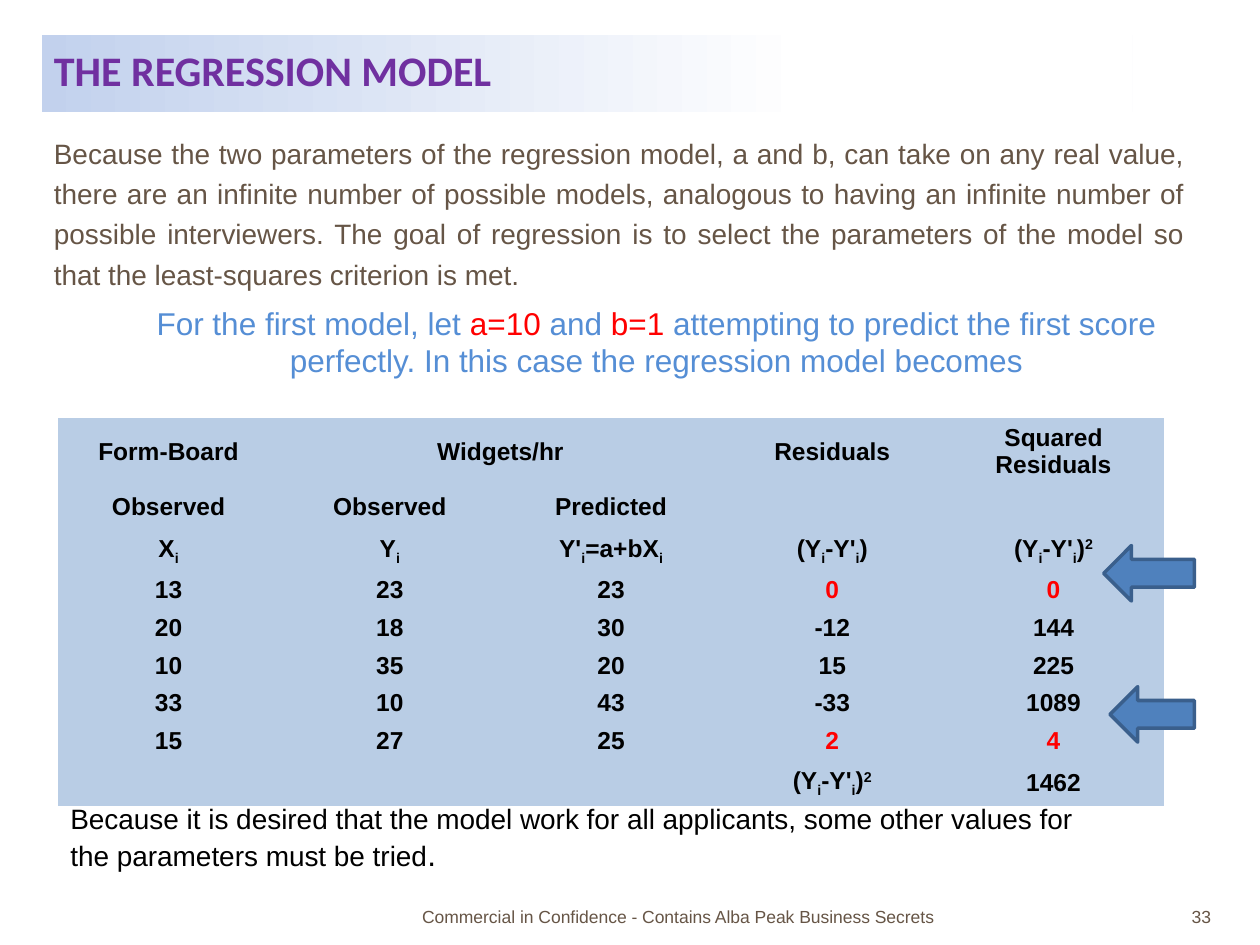
from pptx import Presentation
from pptx.dml.color import RGBColor
from pptx.enum.shapes import MSO_SHAPE
from pptx.enum.text import MSO_ANCHOR, PP_ALIGN
from pptx.oxml.ns import qn
from pptx.util import Inches, Pt

LEFT, CENTER, RIGHT, JUSTIFY = PP_ALIGN.LEFT, PP_ALIGN.CENTER, PP_ALIGN.RIGHT, PP_ALIGN.JUSTIFY
MIDDLE = MSO_ANCHOR.MIDDLE
RECTANGLE, LEFT_ARROW = MSO_SHAPE.RECTANGLE, MSO_SHAPE.LEFT_ARROW

PURPLE = RGBColor(0x70, 0x30, 0xA0)
BROWN = RGBColor(0x66, 0x55, 0x46)
SKY = RGBColor(0x55, 0x8E, 0xD5)
RED = RGBColor(0xFF, 0x00, 0x00)
BLACK = RGBColor(0x00, 0x00, 0x00)
WHITE = RGBColor(0xFF, 0xFF, 0xFF)
BAND = RGBColor(0xC2, 0xD1, 0xED)
CELL = RGBColor(0xB9, 0xCD, 0xE5)
ARROW = RGBColor(0x4F, 0x81, 0xBD)
ARROW_EDGE = RGBColor(0x3A, 0x5F, 0x8C)

PLAIN_TABLE = "{2D5ABB26-0587-4C30-8999-92F81FD0307C}"

SUB = ("i", {"baseline": -25000})
SQUARE = ("2", {"baseline": 30000})
RESIDUAL = ["(Y", SUB, "-Y'", SUB, ")"]
SQUARED = RESIDUAL + [SQUARE]


def red(text):
    return [(text, {"color": RED})]


ROWS = [
    ["Form-Board", "Widgets/hr", "", "Residuals", "Squared Residuals"],
    ["Observed", "Observed", "Predicted", "", ""],
    [["X", SUB], ["Y", SUB], ["Y'", SUB, "=a+bX", SUB], RESIDUAL, SQUARED],
    ["13", "23", "23", red("0"), red("0")],
    ["20", "18", "30", "-12", "144"],
    ["10", "35", "20", "15", "225"],
    ["33", "10", "43", "-33", "1089"],
    ["15", "27", "25", red("2"), red("4")],
    ["", "", "", SQUARED, "1462"],
]


class SlideBuilder:
    font_name = "Arial"

    def __init__(self, slide):
        self.slide = slide

    def fill_text(self, frame, content, size, color, align=LEFT, bold=False, font=None, spacing=None):
        paragraph = frame.paragraphs[0]
        paragraph.alignment = align
        if spacing:
            paragraph.line_spacing = spacing
        paragraph.font.name = font or self.font_name
        paragraph.font.size = Pt(size)
        paragraph.font.bold = bold
        paragraph.font.color.rgb = color
        for part in [content] if isinstance(content, str) else content:
            text, style = (part, {}) if isinstance(part, str) else part
            run = paragraph.add_run()
            run.text = text
            if "color" in style:
                run.font.color.rgb = style["color"]
            if "size" in style:
                run.font.size = Pt(style["size"])
            if "baseline" in style:
                run._r.get_or_add_rPr().set("baseline", str(style["baseline"]))

    def text(self, box, content, size, color, **style):
        shape = self.slide.shapes.add_textbox(*map(Inches, box))
        shape.text_frame.word_wrap = True
        self.fill_text(shape.text_frame, content, size, color, **style)

    def title(self, box, content):
        shape = self.slide.shapes.add_shape(RECTANGLE, *map(Inches, box))
        shape.shadow.inherit = False
        shape.line.fill.background()
        shape.fill.gradient()
        shape.fill.gradient_angle = 0
        for stop, color, position in zip(shape.fill.gradient_stops, (BAND, WHITE), (0, 0.7)):
            stop.color.rgb = color
            stop.position = position
        shape.text_frame.vertical_anchor = MIDDLE
        self.fill_text(shape.text_frame, content, 24, PURPLE, bold=True, font="Calibri", spacing=0.85)

    def table(self, box, rows, header_height, row_height):
        frame = self.slide.shapes.add_table(len(rows), len(rows[0]), *map(Inches, box))
        next(frame.element.iter(qn("a:tableStyleId"))).text = PLAIN_TABLE
        table = frame.table
        table.first_row = table.horz_banding = False
        for row_index, row in enumerate(rows):
            table.rows[row_index].height = Inches(row_height if row_index else header_height)
            for column_index, content in enumerate(row):
                cell = table.cell(row_index, column_index)
                cell.fill.solid()
                cell.fill.fore_color.rgb = CELL
                cell.vertical_anchor = MIDDLE
                cell.margin_left = cell.margin_right = Inches(0.03)
                cell.margin_top = cell.margin_bottom = Inches(0.03)
                self.fill_text(cell.text_frame, content, 14, BLACK, align=CENTER, bold=True)
        table.cell(0, 1).merge(table.cell(0, 2))

    def arrow(self, box):
        shape = self.slide.shapes.add_shape(LEFT_ARROW, *map(Inches, box))
        shape.shadow.inherit = False
        shape.fill.solid()
        shape.fill.fore_color.rgb = ARROW
        shape.line.color.rgb = ARROW_EDGE
        shape.line.width = Pt(2)


def main():
    presentation = Presentation()
    presentation.slide_width, presentation.slide_height = Inches(10), Inches(7.5)
    builder = SlideBuilder(presentation.slides.add_slide(presentation.slide_layouts[6]))

    builder.title((0.33, 0.28, 8.66, 0.61), "THE REGRESSION MODEL")
    builder.text(
        (0.33, 0.98, 9.17, 1.37),
        "Because the two parameters of the regression model, a and b, can take on any real value, "
        "there are an infinite number of possible models, analogous to having an infinite number of "
        "possible interviewers. The goal of regression is to select the parameters of the model so "
        "that the least-squares criterion is met.",
        16, BROWN, align=JUSTIFY, spacing=1.2,
    )
    builder.text((8.16, 7.14, 1.55, 0.27), "33", 10, BROWN, align=RIGHT)
    builder.text(
        (2.62, 7.14, 5.52, 0.38),
        "Commercial in Confidence - Contains Alba Peak Business Secrets",
        10, BROWN, align=CENTER,
    )
    builder.text(
        (0.69, 2.36, 9.04, 0.71),
        ["For the first model, let ", *red("a=10"), " and ", *red("b=1"),
         " attempting to predict the first score perfectly. "
         "In this case the regression model becomes"],
        18, SKY, align=CENTER,
    )
    builder.table((0.46, 3.32, 8.78, 2.9), ROWS, 0.5, 0.3)
    builder.arrow((8.76, 4.33, 0.72, 0.44))
    builder.arrow((8.81, 5.45, 0.67, 0.44))
    builder.text(
        (0.46, 6.31, 8.31, 0.67),
        ["Because it is desired that the model work for all applicants, some other values for "
         "the parameters must be tried", (".", {"size": 18})],
        16, BLACK,
    )
    presentation.save("out.pptx")


if __name__ == "__main__":
    main()
